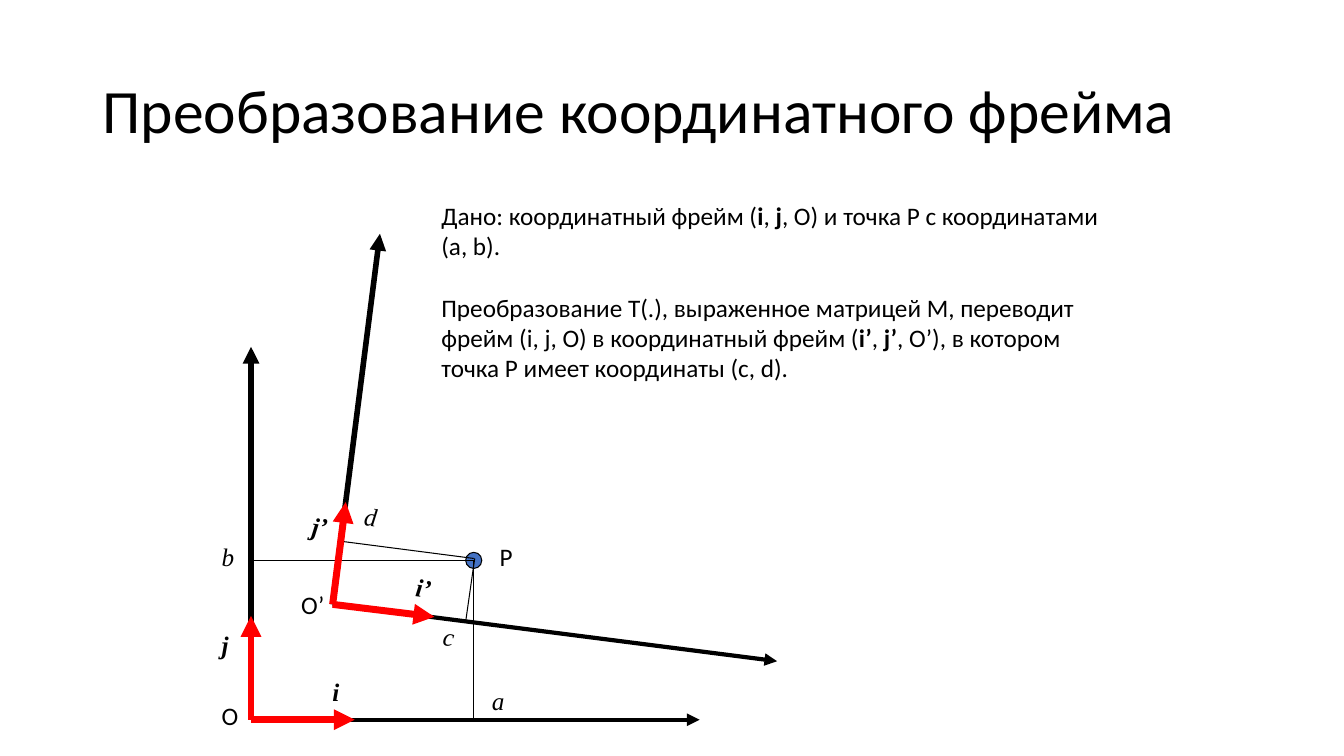
"""Build a slide about changing from one coordinate frame to another."""
import pptx
import pptx.dml.color
import pptx.enum.shapes
import pptx.enum.text
import pptx.oxml
import pptx.oxml.ns
import pptx.util

Pt = pptx.util.Pt
ANCHOR = pptx.enum.text.MSO_ANCHOR
ALIGN = pptx.enum.text.PP_ALIGN
FIT = pptx.enum.text.MSO_AUTO_SIZE

BLACK, RED, BLUE = "000000", "FF0000", "4472C4"
TITLE = "Преобразование координатного фрейма"
TITLE_AREA = (66.2, 28.8, 828, 104.4)
NOTE_AREA = (308.2, 139.7, 485.3, 138.2)
NOTE = [
    [("Дано: координатный фрейм (", False), ("i", True), (", ", False), ("j", True),
     (", O) и точка P с координатами (a, b).", False)],
    [("Преобразование T(.), выраженное матрицей M, переводит фрейм (i, j, O) "
      "в координатный фрейм (", False), ("i’", True), (", ", False), ("j’", True),
     (", O’), в котором точка P имеет координаты (c, d).", False)],
]

ORIGIN, POINT = (179.3, 514.1), (338.4, 400.3)
NEW_ORIGIN = (237.6, 431.7)
POINT_SIZE = 11.5
TILT = 7.4
AXIS_X, AXIS_Y, UNIT, GUIDE = (BLACK, 3, True), (BLACK, 4, True), (RED, 5, True), (BLACK, 0.75, False)
LINES = [
    (ORIGIN, (499.7, ORIGIN[1]), AXIS_X),
    (ORIGIN, (ORIGIN[0], 247.7), AXIS_Y),
    (POINT, (ORIGIN[0], POINT[1]), GUIDE),
    (POINT, (POINT[0], ORIGIN[1]), GUIDE),
    (ORIGIN, (253.4, ORIGIN[1]), UNIT),
    (ORIGIN, (ORIGIN[0], 439.9), UNIT),
    (NEW_ORIGIN, (555.1, 472.3), AXIS_X),
    (NEW_ORIGIN, (271.4, 167), AXIS_Y),
    ((338.4, 398.9), (243.4, 386.6), GUIDE),
    ((339.1, 398.9), (332.6, 444.2), GUIDE),
    (NEW_ORIGIN, (310.3, 440.6), UNIT),
    (NEW_ORIGIN, (247, 358.6), UNIT),
]

COORDINATE = {"name": "Times New Roman", "italic": True}
VECTOR = {"name": "Times New Roman", "italic": True, "bold": True}
PLAIN = {"name": "Calibri"}
LABEL_HEIGHT = 29
LABELS = [
    ("a", 344.2, 486, 23.8, 0, COORDINATE),
    ("b", 151.2, 383, 23.8, 0, COORDINATE),
    ("i", 230.4, 479.5, 19.4, 0, VECTOR),
    ("j", 151.2, 445.7, 19.4, 0, VECTOR),
    ("c", 309.6, 439.9, 22.3, TILT, COORDINATE),
    ("d", 253.4, 354.2, 23.8, TILT, COORDINATE),
    ("i’", 290.2, 405.4, 25.2, TILT, VECTOR),
    ("j’", 216, 361.4, 25.2, TILT, VECTOR),
    ("O", 151.2, 496.8, 27.4, 0, PLAIN),
    ("O’", 208.1, 417.6, 31, 0, PLAIN),
    ("P", 349.9, 383, 24.5, 0, PLAIN),
]


def color(code):
    return pptx.dml.color.RGBColor.from_string(code)


def apply(target, values):
    for name, value in values.items():
        setattr(target, name, value)


def write(para, text, size, values):
    span = para.add_run()
    span.text = text
    apply(span.font, {"size": Pt(size), **values})
    span.font.color.rgb = color(BLACK)


def add_box(page, area, wrap):
    box = page.shapes.add_textbox(*map(Pt, area))
    apply(box.text_frame, {"word_wrap": wrap, "auto_size": FIT.SHAPE_TO_FIT_TEXT})
    return box


def add_title(page):
    title = page.shapes.title
    apply(title, dict(zip(("left", "top", "width", "height"), map(Pt, TITLE_AREA))))
    apply(title.text_frame, {"vertical_anchor": ANCHOR.MIDDLE, "word_wrap": True,
                             "auto_size": FIT.NONE})
    para = title.text_frame.paragraphs[0]
    apply(para, {"alignment": ALIGN.LEFT, "line_spacing": 0.9})
    write(para, TITLE, 44, PLAIN)


def add_point(page):
    left, top = (middle - POINT_SIZE / 2 for middle in POINT)
    dot = page.shapes.add_shape(pptx.enum.shapes.MSO_SHAPE.OVAL,
                                Pt(left), Pt(top), Pt(POINT_SIZE), Pt(POINT_SIZE))
    dot.shadow.inherit = False
    dot.fill.solid()
    dot.fill.fore_color.rgb = color(BLUE)
    dot.line.color.rgb = color(BLACK)
    dot.line.width = Pt(0.75)


def add_line(page, start, end, look):
    code, width, arrow = look
    line = page.shapes.add_connector(pptx.enum.shapes.MSO_CONNECTOR.STRAIGHT,
                                     *map(Pt, start + end))
    line.line.color.rgb = color(code)
    line.line.width = Pt(width)
    if arrow:
        head = pptx.oxml.parse_xml(f'<a:tailEnd {pptx.oxml.ns.nsdecls("a")} type="triangle"/>')
        line.line._get_or_add_ln().append(head)
    effects = pptx.oxml.parse_xml(f'<a:effectLst {pptx.oxml.ns.nsdecls("a")}/>')
    line._element.spPr.append(effects)


def add_note(page):
    frame = add_box(page, NOTE_AREA, True).text_frame
    for index, spans in enumerate(NOTE):
        para = frame.add_paragraph() if index else frame.paragraphs[0]
        if index:
            para.space_before = Pt(22)
        for text, bold in spans:
            write(para, text, 18, {**PLAIN, "bold": bold})


def main():
    deck = pptx.Presentation()
    apply(deck, {"slide_width": Pt(960), "slide_height": Pt(540)})
    page = deck.slides.add_slide(deck.slide_layouts[5])
    add_title(page)
    add_point(page)
    for start, end, look in LINES:
        add_line(page, start, end, look)
    for text, left, top, width, tilt, values in LABELS:
        box = add_box(page, (left, top, width, LABEL_HEIGHT), False)
        box.rotation = tilt
        write(box.text_frame.paragraphs[0], text, 18, values)
    add_note(page)
    deck.save("out.pptx")


if __name__ == "__main__":
    main()
